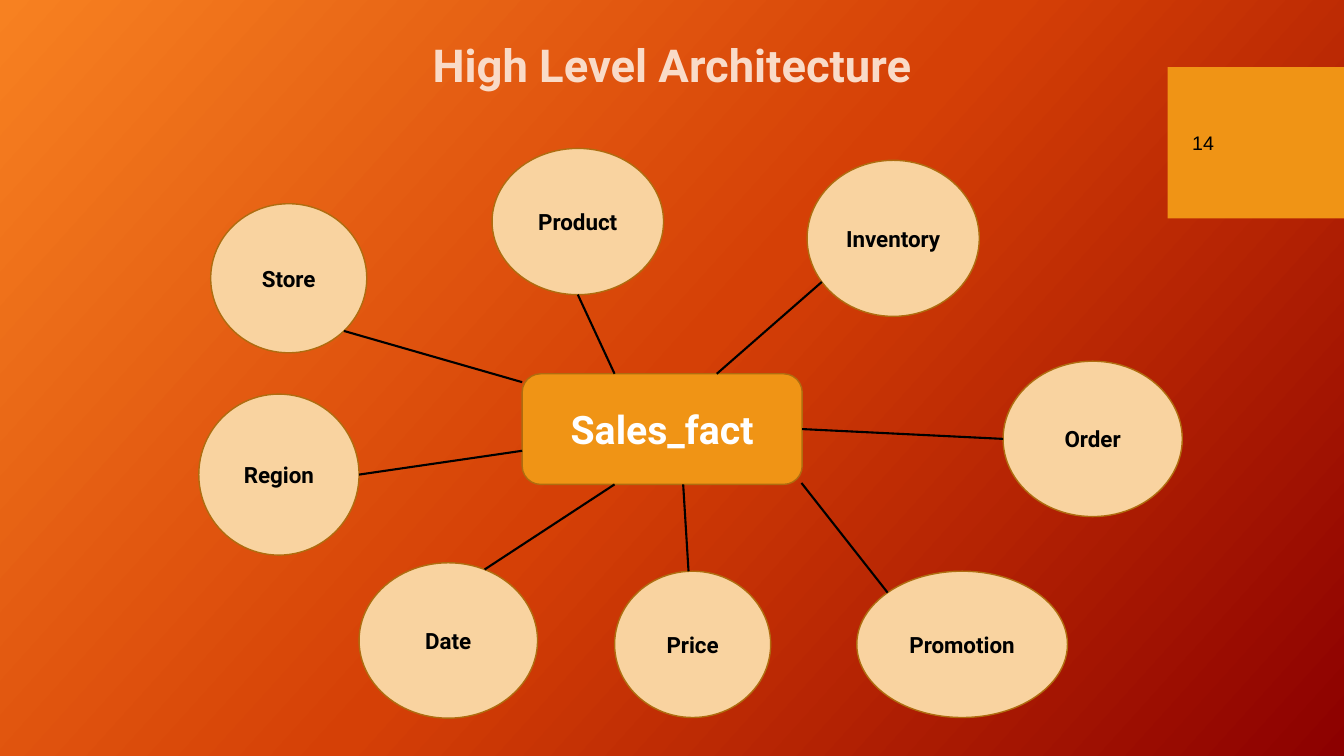
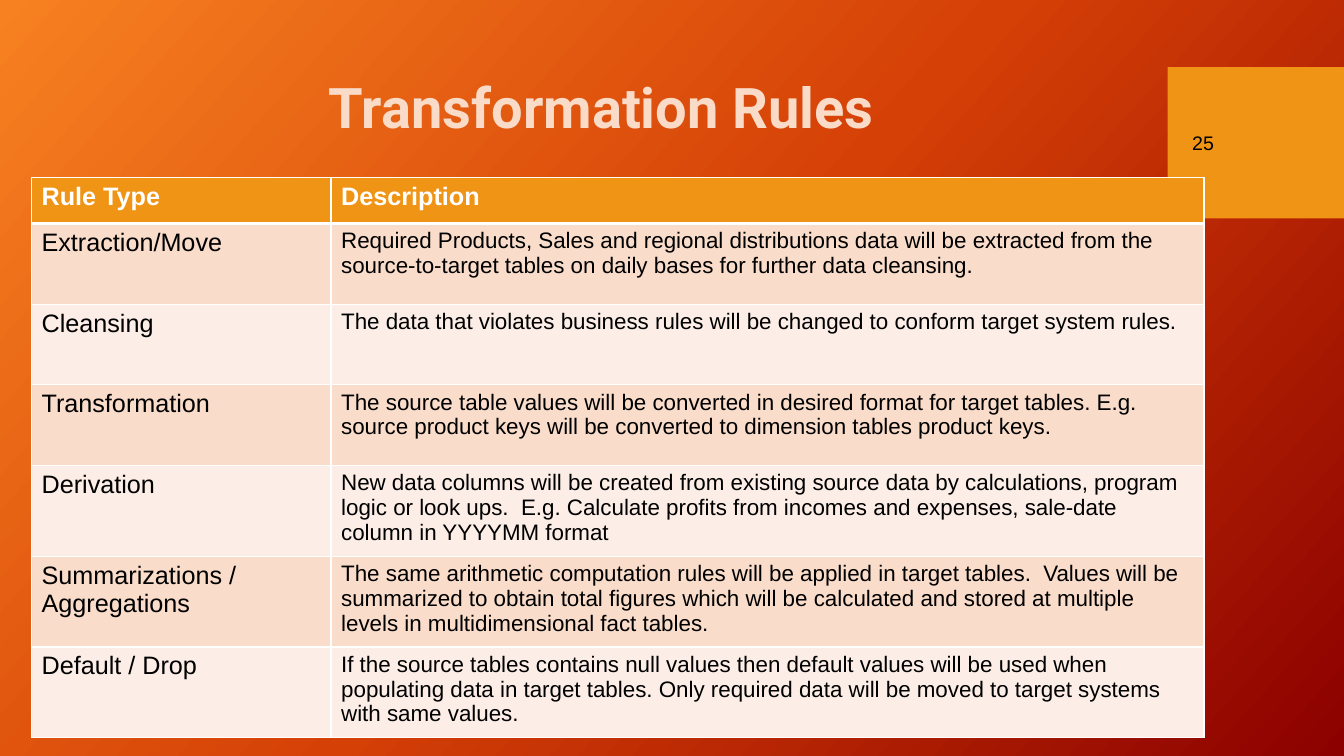
import copy
import math

from pptx import Presentation
from pptx.dml.color import RGBColor
from pptx.enum import shapes, text
from pptx.oxml import ns, xmlchemy
from pptx.util import Pt

COLOURS = {
    "glow": "F78121", "flame": "D54006", "ember": "8C0000",
    "amber": "F09415", "amber_edge": "AF6C0F", "sand": "F9D3A0",
    "title": "F9DBC8", "row_dark": "F9DCCA", "row_light": "FCEEE7",
    "white": "FFFFFF", "black": "000000",
}
HEADING_FONT, BODY_FONT = "Roboto", "Arial"

HUB = (373, 267, 200, 79)
# name, (left, top, width, height), docking angle on the ellipse, point on the hub
DIMENSIONS = [
    ("Store", (150.5, 145.5, 111.5, 106.5), 45, (373, 273)),
    ("Region", (142, 281.5, 114.5, 115), 0, (373, 322)),
    ("Date", (256.5, 402, 127.5, 111), -66, (439, 346)),
    ("Price", (439, 408, 111.5, 104.5), -93, (488, 346)),
    ("Promotion", (612, 408, 150.5, 104.5), -135, (572.5, 345)),
    ("Product", (351.5, 106, 122.5, 104.5), 90, (439, 267)),
    ("Inventory", (576.5, 114.5, 123, 111.5), 146, (512, 267)),
    ("Order", (716.5, 258, 128, 111), 180, (573, 306.5)),
]

RULES = [
    ("Rule Type", "Description"),
    ("Extraction/Move",
     "Required Products, Sales and regional distributions data will be extracted from the "
     "source-to-target tables on daily bases for further data cleansing."),
    ("Cleansing",
     "The data that violates business rules will be changed to conform target system rules."),
    ("Transformation",
     "The source table values will be converted in desired format for target tables. E.g. "
     "source product keys will be converted to dimension tables product keys."),
    ("Derivation",
     "New data columns will be created from existing source data by calculations, program "
     "logic or look ups.  E.g. Calculate profits from incomes and expenses, sale-date "
     "column in YYYYMM format"),
    ("Summarizations / Aggregations",
     "The same arithmetic computation rules will be applied in target tables.  Values will be "
     "summarized to obtain total figures which will be calculated and stored at multiple "
     "levels in multidimensional fact tables."),
    ("Default / Drop",
     "If the source tables contains null values then default values will be used when "
     "populating data in target tables. Only required data will be moved to target systems "
     "with same values."),
]
COLUMN_WIDTHS = (214, 623.5)
ROW_HEIGHTS = (33, 57.6, 57.6, 57.6, 57.6, 57.6, 33)


def rgb(name):
    return RGBColor.from_string(COLOURS[name])


def points(values):
    return [Pt(value) for value in values]


def write(frame, wording, size, colour, font=BODY_FONT, bold=False, align=text.PP_ALIGN.LEFT):
    frame.text = wording
    paragraph = frame.paragraphs[0]
    paragraph.alignment = align
    style = paragraph.runs[0].font
    style.name, style.size, style.bold = font, Pt(size), bold
    style.color.rgb = rgb(colour)


def paint_background(master):
    """Give every slide the diagonal three-colour gradient."""
    fill = master.background.fill
    fill.gradient()
    fill.gradient_angle = 318
    stop_list = master.element.find(".//" + ns.qn("a:gsLst"))
    stop_list.append(copy.deepcopy(stop_list[0]))
    for stop, colour, position in zip(fill.gradient_stops, ("glow", "flame", "ember"), (0, 0.5, 1)):
        stop.color.rgb = rgb(colour)
        stop.position = position


def add_block(slide, kind, box, fill, edge=None):
    block = slide.shapes.add_shape(kind, *points(box))
    block.shadow.inherit = False
    block.fill.solid()
    block.fill.fore_color.rgb = rgb(fill)
    if edge:
        block.line.color.rgb = rgb(edge)
        block.line.width = Pt(1)
    else:
        block.line.fill.background()
    return block


def add_node(slide, kind, box, name, fill, size, colour):
    node = add_block(slide, kind, box, fill, "amber_edge")
    frame = node.text_frame
    frame.vertical_anchor = text.MSO_ANCHOR.MIDDLE
    # Single words stay on one line inside the narrow ellipses.
    frame.word_wrap = False
    write(frame, name, size, colour, HEADING_FONT, True, text.PP_ALIGN.CENTER)


def add_spoke(slide, start, end):
    spoke = slide.shapes.add_connector(shapes.MSO_CONNECTOR.STRAIGHT, *points(start + end))
    spoke.line.color.rgb = rgb("black")
    spoke.line.width = Pt(1.5)
    spoke.element.spPr.append(xmlchemy.OxmlElement("a:effectLst"))


def ellipse_point(box, degrees):
    """Return the point on the ellipse in box, measured clockwise from its right end."""
    left, top, width, height = box
    angle = math.radians(degrees)
    return (left + width / 2 * (1 + math.cos(angle)),
            top + height / 2 * (1 + math.sin(angle)))


def add_titled_slide(deck, heading, heading_box, heading_size, number):
    slide = deck.slides.add_slide(deck.slide_layouts[5])
    add_block(slide, shapes.MSO_SHAPE.RECTANGLE, (834, 48, 126, 108), "amber")

    title = slide.shapes.title
    title.left, title.top, title.width, title.height = points(heading_box)
    frame = title.text_frame
    frame.auto_size = text.MSO_AUTO_SIZE.NONE
    frame.vertical_anchor = text.MSO_ANCHOR.MIDDLE
    write(frame, heading, heading_size, "title", HEADING_FONT, True, text.PP_ALIGN.CENTER)
    frame.paragraphs[0].line_spacing = 0.9

    page = slide.shapes.add_textbox(*points((844.5, 59, 91, 86))).text_frame
    page.word_wrap = True
    page.vertical_anchor = text.MSO_ANCHOR.MIDDLE
    write(page, number, 14, "black")
    return slide


def add_borders(cell, **widths):
    """Draw white cell borders; keys are L, R, T and B, values are points."""
    properties = cell._tc.get_or_add_tcPr()
    for side, width in widths.items():
        border = xmlchemy.OxmlElement(f"a:ln{side}")
        border.set("w", str(Pt(width)))
        fill = xmlchemy.OxmlElement("a:solidFill")
        colour = xmlchemy.OxmlElement("a:srgbClr")
        colour.set("val", COLOURS["white"])
        fill.append(colour)
        border.append(fill)
        properties.append(border)


def add_rule_table(slide):
    box = (22.5, 126.7, sum(COLUMN_WIDTHS), sum(ROW_HEIGHTS))
    table = slide.shapes.add_table(len(RULES), len(COLUMN_WIDTHS), *points(box)).table
    for column, width in zip(table.columns, COLUMN_WIDTHS):
        column.width = Pt(width)
    for index, (entries, height) in enumerate(zip(RULES, ROW_HEIGHTS)):
        table.rows[index].height = Pt(height)
        header = index == 0
        band = "amber" if header else "row_dark" if index % 2 else "row_light"
        for column, wording in enumerate(entries):
            cell = table.cell(index, column)
            add_borders(cell, L=1, R=1, T=3 if index == 1 else 1, B=3 if header else 1)
            cell.fill.solid()
            cell.fill.fore_color.rgb = rgb(band)
            size = 18 if header or column == 0 else 16
            write(cell.text_frame, wording, size, "white" if header else "black", bold=header)


def build_architecture(deck):
    slide = add_titled_slide(deck, "High Level Architecture", (66, 29, 828, 39), 32.4, "14")
    add_node(slide, shapes.MSO_SHAPE.ROUNDED_RECTANGLE, HUB, "Sales_fact", "amber", 28, "white")
    for name, box, angle, hub_point in DIMENSIONS:
        add_node(slide, shapes.MSO_SHAPE.OVAL, box, name, "sand", 16, "black")
        add_spoke(slide, hub_point, ellipse_point(box, angle))


def build_rules(deck):
    slide = add_titled_slide(deck, "Transformation Rules", (51, 36, 757, 85), 40, "25")
    add_rule_table(slide)


def main():
    deck = Presentation()
    deck.slide_width, deck.slide_height = Pt(960), Pt(540)
    paint_background(deck.slide_master)
    build_architecture(deck)
    build_rules(deck)
    deck.save("out.pptx")


if __name__ == "__main__":
    main()
